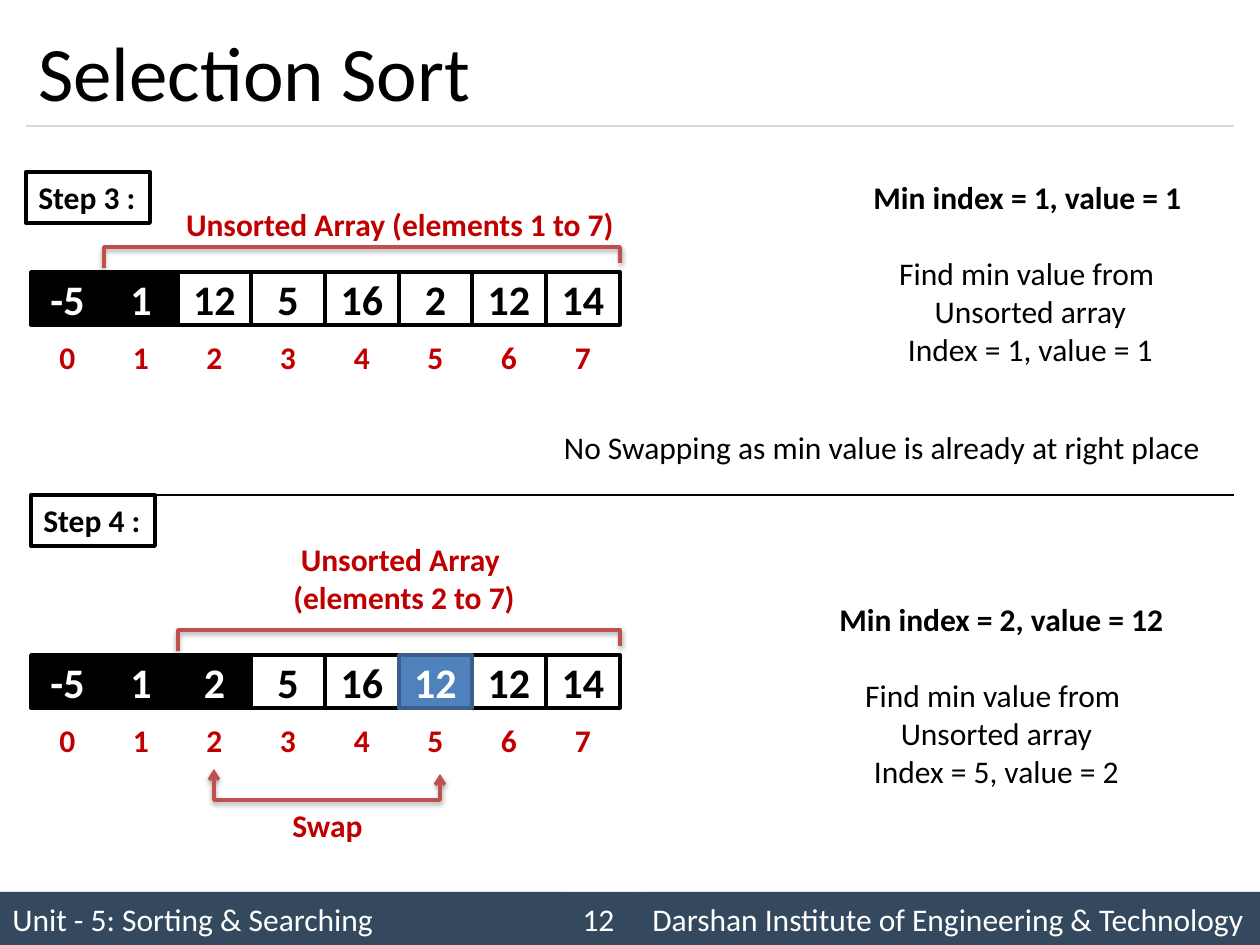
from collections import namedtuple
from dataclasses import dataclass

from lxml.etree import SubElement
from pptx import Presentation
from pptx.dml.color import RGBColor
from pptx.enum.shapes import MSO_CONNECTOR, MSO_SHAPE
from pptx.enum.text import MSO_ANCHOR, PP_ALIGN
from pptx.oxml.ns import qn
from pptx.util import Pt

UNIT = 914400 / 126
Box = namedtuple("Box", "x y w h")
LEFT, MID = PP_ALIGN.LEFT, PP_ALIGN.CENTER


@dataclass(frozen=True)
class Theme:
    """Colours, font and type sizes of the slide."""
    font: str = "Calibri"
    ink: str = "000000"
    paper: str = "FFFFFF"
    red: str = "C00000"
    rust: str = "C0504D"
    blue: str = "4F81BD"
    navy: str = "3A5F8C"
    slate: str = "34495E"
    grey: str = "D9D9D9"
    title: int = 44
    value: int = 24
    body: int = 18


THEME = Theme()
TONES = {
    "light": (THEME.paper, THEME.ink, THEME.ink),
    "dark": (THEME.ink, THEME.ink, THEME.paper),
    "mark": (THEME.blue, THEME.navy, THEME.paper),
}


def emu(*sizes):
    """Turn px lengths into EMU."""
    return [round(size * UNIT) for size in sizes]


def write(shape, lines, color, size=THEME.body, bold=False, align=MID,
          anchor=MSO_ANCHOR.MIDDLE, wrap=True):
    """Fill a shape with one paragraph for each line."""
    frame = shape.text_frame
    frame.word_wrap = wrap
    frame.vertical_anchor = anchor
    for i, line in enumerate(lines):
        para = frame.add_paragraph() if i else frame.paragraphs[0]
        para.alignment = align
        run = para.add_run()
        run.text = line
        run.font.name = THEME.font
        run.font.size = Pt(size)
        run.font.bold = bold
        run.font.color.rgb = RGBColor.from_string(color)


def stroke(line, color, width):
    """Set the colour and width of a line."""
    line.color.rgb = RGBColor.from_string(color)
    line.width = Pt(width)


def label(slide, box, lines, color, **style):
    """Add a text box with its lines at the top."""
    style = {"anchor": MSO_ANCHOR.TOP, **style}
    write(slide.shapes.add_textbox(*emu(*box)), lines, color, **style)


def block(slide, box, fill=None, edge=None, width=2):
    """Add a flat rectangle."""
    shape = slide.shapes.add_shape(MSO_SHAPE.RECTANGLE, *emu(*box))
    shape.shadow.inherit = False
    if fill:
        shape.fill.solid()
        shape.fill.fore_color.rgb = RGBColor.from_string(fill)
    else:
        shape.fill.background()
    if edge:
        stroke(shape.line, edge, width)
    else:
        shape.line.fill.background()
    return shape


def shade(shape, alpha, blur, dist, angle):
    """Cast an outer shadow from a flat shape."""
    effect = shape._element.spPr.find(qn("a:effectLst"))
    outer = SubElement(effect, qn("a:outerShdw"), blurRad=str(Pt(blur)),
                       dist=str(Pt(dist)), dir=str(angle * 60000),
                       rotWithShape="0")
    tint = SubElement(outer, qn("a:srgbClr"), val=THEME.ink)
    SubElement(tint, qn("a:alpha"), val=str(alpha * 1000))


def rule(slide, box, color):
    """Draw a thin line along the top of a box."""
    line = slide.shapes.add_connector(
        MSO_CONNECTOR.STRAIGHT, *emu(box.x, box.y, box.x + box.w, box.y))
    stroke(line.line, color, 0.75)
    SubElement(line._element.spPr, qn("a:effectLst"))


def trace(slide, points, heads=False):
    """Draw an open path with a soft shadow."""
    form = slide.shapes.build_freeform(*points[0], scale=UNIT)
    form.add_line_segments(points[1:], close=False)
    shape = form.convert_to_shape()
    shape.fill.background()
    shape.shadow.inherit = False
    stroke(shape.line, THEME.rust, 2)
    shade(shape, 38, 3.1, 1.6, 90)
    if heads:
        for end in ("a:headEnd", "a:tailEnd"):
            SubElement(shape.line._get_or_add_ln(), qn(end), type="arrow")


def header(slide, box, text):
    """Place the title above its rule."""
    label(slide, box, [text], THEME.ink, size=THEME.title, align=LEFT,
          anchor=MSO_ANCHOR.MIDDLE)
    rule(slide, Box(box.x, box.y + box.h, box.w, 0), THEME.grey)


def footer(slide, box, unit, page, school):
    """Place the three bars at the foot of the slide."""
    cut, end = box.x + 557, box.x + 640
    bars = [
        (box.x, cut, unit, LEFT, True),
        (end, box.x + box.w, school, LEFT, True),
        (cut, end, page, MID, False),
    ]
    for start, stop, text, align, cast in bars:
        bar = block(slide, Box(start, box.y, stop - start, box.h), THEME.slate)
        write(bar, [text], THEME.paper, align=align)
        if cast:
            shade(bar, 40, 4, 3, 45)


def tag(slide, box, text):
    """Place a framed step name."""
    frame = block(slide, box, edge=THEME.ink, width=2.25)
    write(frame, [text], THEME.ink, bold=True, align=LEFT,
          anchor=MSO_ANCHOR.TOP, wrap=False)


def array(slide, box, values, done, marks=()):
    """Place the cells, their indexes and the bracket over the open part."""
    edges = [box.x + box.w * i // len(values) for i in range(len(values) + 1)]
    tones = ["mark" if i in marks else "dark" if i <= done else "light"
             for i in range(len(values))]
    rank = list(TONES)
    for i in sorted(range(len(values)), key=lambda i: rank.index(tones[i])):
        fill, edge, ink = TONES[tones[i]]
        spot = Box(edges[i], box.y, edges[i + 1] - edges[i], box.h)
        write(block(slide, spot, fill, edge), [str(values[i])], ink,
              size=THEME.value, bold=True)
        below = spot._replace(y=box.y + 58)
        write(block(slide, below, THEME.paper), [str(i)], THEME.red, bold=True)
    start, stop, top = edges[done], edges[-1], box.y - 25
    trace(slide, [(start, top + 21), (start, top), (stop, top),
                  (stop, top + 16)])


def swap(slide, box, text):
    """Place the two-headed swap arrow and its name."""
    right, low = box.x + box.w, box.y + box.h
    trace(slide, [(box.x, box.y), (box.x, low), (right, low),
                  (right, box.y + 5)], heads=True)
    label(slide, Box(box.x + box.w // 2 - 62, low, 125, 50), [text],
          THEME.red, bold=True)


def notes(slide, box, least, found):
    """Place the minimum line and the search result under it."""
    label(slide, box._replace(h=50), [least], THEME.ink, bold=True,
          align=LEFT, wrap=False)
    label(slide, Box(box.x + 24, box.y + 76, 291, 127),
          ["Find min value from ", "Unsorted array", found], THEME.ink,
          wrap=False)


def main():
    """Build the slide and save it."""
    deck = Presentation()
    deck.slide_width, deck.slide_height = emu(1260, 945)
    slide = deck.slides.add_slide(deck.slide_layouts[6])
    footer(slide, Box(0, 892, 1260, 53), "Unit - 5: Sorting & Searching", "12",
           "Darshan Institute of Engineering & Technology")
    header(slide, Box(26, 15, 1208, 111), "Selection Sort")

    tag(slide, Box(26, 172, 124, 51), "Step 3 :")
    array(slide, Box(31, 272, 589, 53), [-5, 1, 12, 5, 16, 2, 12, 14], 1)
    label(slide, Box(164, 199, 472, 51), ["Unsorted Array (elements 1 to 7)"],
          THEME.red, bold=True)
    notes(slide, Box(861, 172, 336, 203), "Min index = 1, value = 1",
          "Index = 1, value = 1")
    label(slide, Box(547, 422, 677, 51),
          ["No Swapping as min value is already at right place "], THEME.ink,
          wrap=False)

    rule(slide, Box(31, 495, 1203, 0), THEME.ink)
    tag(slide, Box(31, 495, 124, 51), "Step 4 :")
    array(slide, Box(31, 655, 589, 53), [-5, 1, 2, 5, 16, 12, 12, 14], 2, [5])
    label(slide, Box(168, 534, 472, 89),
          ["Unsorted Array ", "(elements 2 to 7)"], THEME.red, bold=True)
    notes(slide, Box(827, 594, 353, 203), "Min index = 2, value = 12",
          "Index = 5, value = 2")
    swap(slide, Box(214, 769, 226, 31), "Swap")
    deck.save("out.pptx")


if __name__ == "__main__":
    main()
